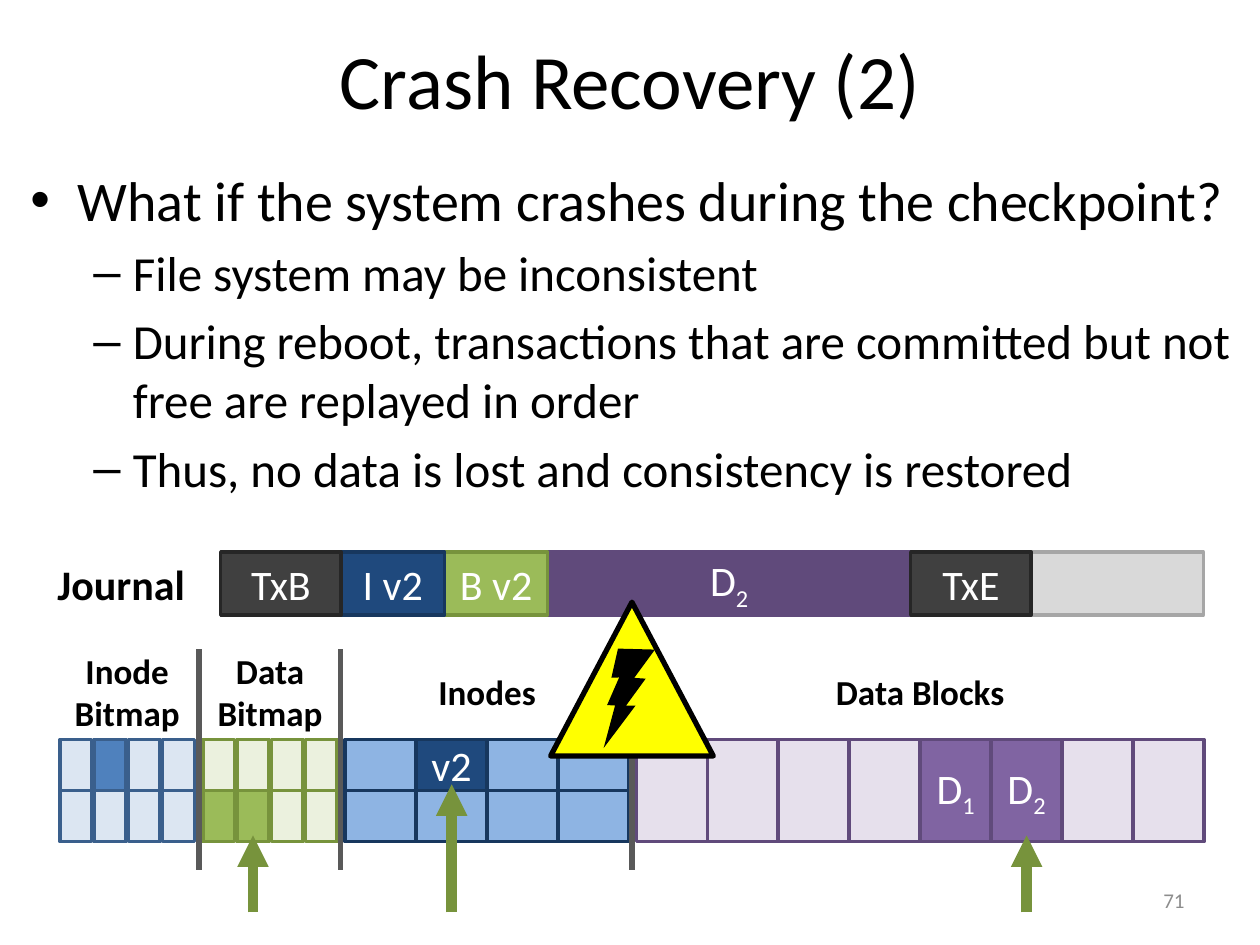
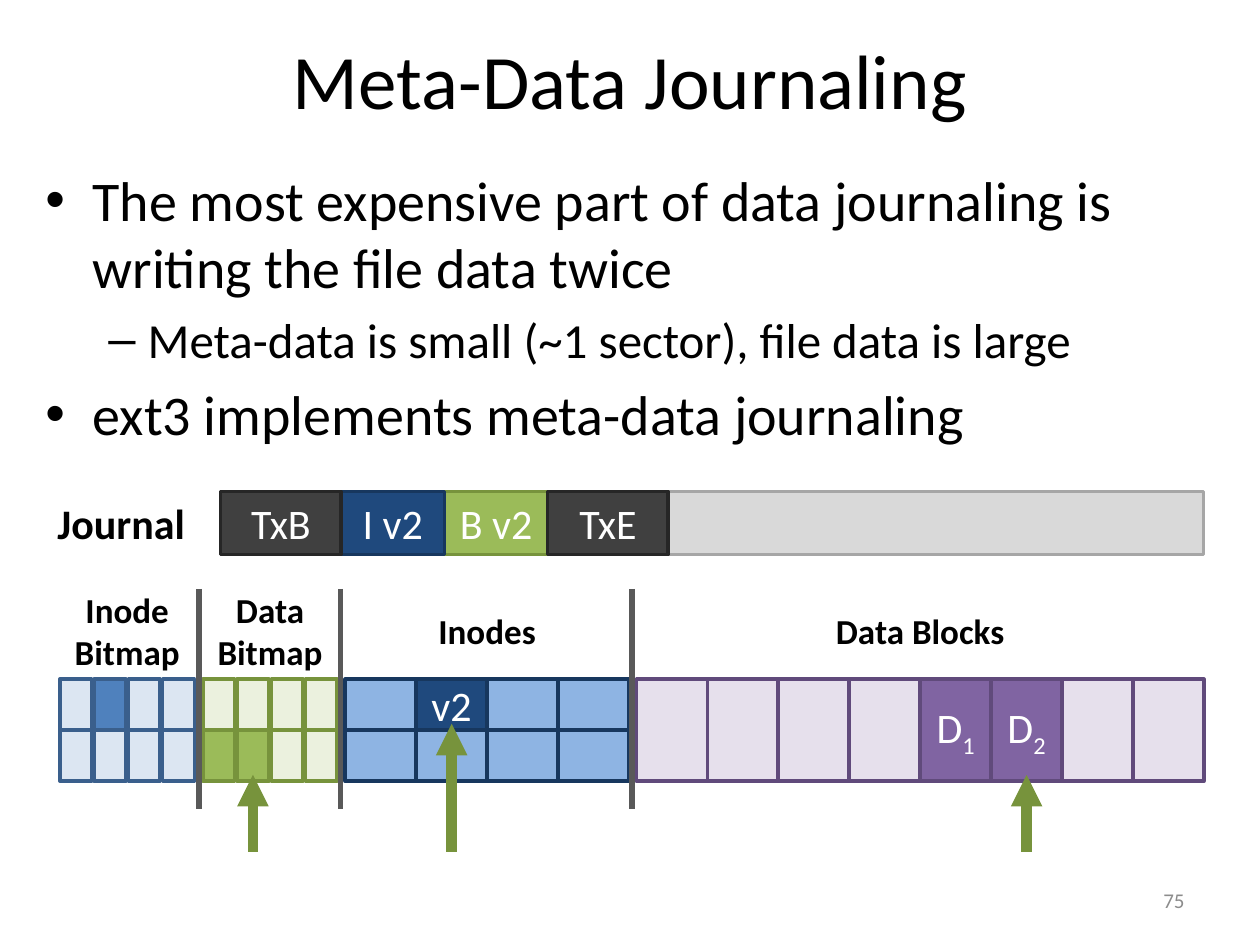
from pptx import Presentation
from pptx.dml.color import RGBColor
from pptx.enum.shapes import MSO_CONNECTOR, MSO_SHAPE
from pptx.enum.text import MSO_ANCHOR, MSO_AUTO_SIZE, PP_ALIGN
from pptx.oxml.ns import qn
from pptx.oxml.xmlchemy import OxmlElement
from pptx.util import Cm, Pt

FONT = "Calibri"
COLORS = {
    "black": "000000", "white": "FFFFFF", "number": "8C8C8C",
    "divider": "595959", "arrow": "77933C", "warning": "FFFF00",
}
# Fill and outline of each kind of block
STYLES = {
    "free": ("D9D9D9", "A6A6A6"),
    "transaction": ("404040", "262626"),
    "inode": ("1F497D", "17375E"),
    "bitmap": ("9BBB59", "77933C"),
    "data": ("604A7B", "604A7B"),
}

# Journal entries: text, style, width in cm; "_" starts a subscript
TX_BEGIN = ("TxB", "transaction", 2.43)
TX_END = ("TxE", "transaction", 2.43)
INODE_V2 = ("I v2", "inode", 2.08)
BITMAP_V2 = ("B v2", "bitmap", 2.08)
DATA_2 = ("D_2", "data", 7.32)

SLIDES = [
    {
        "title": "Crash Recovery (2)",
        "bullets": [
            (0, "What if the system crashes during the checkpoint?"),
            (1, "File system may be inconsistent"),
            (1, "During reboot, transactions that are committed but not free "
                "are replayed in order"),
            (1, "Thus, no data is lost and consistency is restored"),
        ],
        "body": (0.36, 3.2, 24.79, 14.38),
        "number": "71",
        "disk_top": 11.13,
        "journal": [TX_BEGIN, INODE_V2, BITMAP_V2, DATA_2, TX_END],
        "crash": True,
    },
    {
        "title": "Meta-Data Journaling",
        "bullets": [
            (0, "The most expensive part of data journaling is writing the "
                "file data twice"),
            (1, "Meta-data is small (~1 sector), file data is large"),
            (0, "ext3 implements meta-data journaling"),
        ],
        "body": (0.66, 3.2, 24.1, 6.3),
        "number": "75",
        "disk_top": 9.91,
        "journal": [TX_BEGIN, INODE_V2, BITMAP_V2, TX_END],
        "crash": False,
    },
]

# Disk regions; "used" maps (row, column) to the text in the cell,
# "updated" is the cell an arrow points to
REGIONS = [
    {"label": "Inode\nBitmap", "left": 1.21, "rows": 2, "columns": 4,
     "pitch": 0.69, "cell": 0.64, "fill": "DCE6F2", "used_fill": "4F81BD",
     "line": "3A5F8C", "used": {(0, 1): ""}, "updated": None},
    {"label": "Data\nBitmap", "left": 4.09, "rows": 2, "columns": 4,
     "pitch": 0.69, "cell": 0.64, "fill": "EBF1DE", "used_fill": "9BBB59",
     "line": "77933C", "used": {(1, 0): "", (1, 1): ""}, "updated": (1, 1)},
    {"label": "Inodes", "left": 6.96, "rows": 2, "columns": 4,
     "pitch": 1.43, "cell": 1.43, "fill": "8EB4E3", "used_fill": "1F497D",
     "line": "17375E", "used": {(0, 1): "v2"}, "updated": (0, 1)},
    {"label": "Data Blocks", "left": 12.83, "rows": 1, "columns": 8,
     "pitch": 1.43, "cell": 1.43, "fill": "E6E0EC", "used_fill": "8064A2",
     "line": "604A7B", "used": {(0, 4): "D_1", (0, 5): "D_2"},
     "updated": (0, 5)},
]
DIVIDERS = [4.01, 6.87, 12.74]

JOURNAL_LEFT, JOURNAL_WIDTH, JOURNAL_HEIGHT = 4.45, 19.81, 1.27
GRID_HEIGHT = 2.06
# Distances below the top of the journal
LABEL_TOP, LABEL_HEIGHT = 1.83, 1.96
GRID_TOP = 3.78
DIVIDER_TOP, DIVIDER_BOTTOM = 1.96, 6.4
ARROW_BOTTOM, ARROW_OVERLAP = 7.26, 0.13


def rgb(hex_color):
    return RGBColor.from_string(hex_color)


def write(para, text, size=24, color="white", bold=False,
          align=PP_ALIGN.CENTER):
    """Write text into para; what follows "_" becomes a subscript."""
    para.alignment = align
    for index, part in enumerate(text.split("_")):
        span = para.add_run()
        span.text = part
        span.font.name = FONT
        span.font.size = Pt(size)
        span.font.bold = bold
        span.font.color.rgb = rgb(COLORS[color])
        if index:
            span.font._element.set("baseline", "-25000")


def place(shape, left, top, width, height):
    shape.left, shape.top = Cm(left), Cm(top)
    shape.width, shape.height = Cm(width), Cm(height)


def add_label(page, area, text, anchor=MSO_ANCHOR.MIDDLE, **text_format):
    frame = page.shapes.add_textbox(*map(Cm, area)).text_frame
    frame.word_wrap = False
    frame.vertical_anchor = anchor
    for index, line in enumerate(text.split("\n")):
        para = frame.add_paragraph() if index else frame.paragraphs[0]
        write(para, line, **text_format)


def add_block(page, area, fill, line, text="", kind=MSO_SHAPE.RECTANGLE,
              weight=2):
    block = page.shapes.add_shape(kind, *map(Cm, area))
    block.shadow.inherit = False
    block.fill.solid()
    block.fill.fore_color.rgb = rgb(fill)
    if line:
        block.line.color.rgb = rgb(line)
        block.line.width = Pt(weight)
    else:
        block.line.fill.background()
    if text:
        frame = block.text_frame
        frame.margin_left = frame.margin_right = 0
        frame.vertical_anchor = MSO_ANCHOR.MIDDLE
        write(frame.paragraphs[0], text)
    return block


def add_line(page, x, start, end, color, weight, arrow=False):
    """Add a vertical line, with an arrowhead at its end if asked."""
    line = page.shapes.add_connector(
        MSO_CONNECTOR.STRAIGHT, Cm(x), Cm(start), Cm(x), Cm(end))
    line.line.color.rgb = rgb(COLORS[color])
    line.line.width = Pt(weight)
    properties = line._element.spPr
    if arrow:
        head = OxmlElement("a:tailEnd")
        head.set("type", "triangle")
        properties.find(qn("a:ln")).append(head)
    properties.append(OxmlElement("a:effectLst"))


def add_text_parts(page, content):
    title = page.shapes.title
    place(title, 1.27, 0, 22.86, 3.18)
    write(title.text_frame.paragraphs[0], content["title"], size=44,
          color="black")

    body = page.placeholders[1]
    place(body, *content["body"])
    frame = body.text_frame
    frame.auto_size = MSO_AUTO_SIZE.NONE
    for index, (level, text) in enumerate(content["bullets"]):
        para = frame.add_paragraph() if index else frame.paragraphs[0]
        para.level = level
        write(para, text, size=(32, 28)[level], color="black",
              align=PP_ALIGN.LEFT)

    add_label(page, (18.2, 17.65, 5.93, 1.01), content["number"], size=12,
              color="number", align=PP_ALIGN.RIGHT)


def add_journal(page, top, entries):
    add_block(page, (JOURNAL_LEFT, top, JOURNAL_WIDTH, JOURNAL_HEIGHT),
              *STYLES["free"])
    add_label(page, (0.91, top, 3.1, JOURNAL_HEIGHT), "Journal",
              anchor=MSO_ANCHOR.TOP, color="black", bold=True,
              align=PP_ALIGN.LEFT)
    left = JOURNAL_LEFT
    placed = []
    for text, style, width in entries:
        placed.append((text, style, (left, top, width, JOURNAL_HEIGHT)))
        left += width
    # Transaction marks go last, so that their outlines stay on top
    for text, style, area in sorted(
            reversed(placed), key=lambda entry: entry[1] == "transaction"):
        add_block(page, area, *STYLES[style], text)


def add_region(page, top, region):
    height = GRID_HEIGHT / region["rows"]
    for row in range(region["rows"]):
        for column in range(region["columns"]):
            used = (row, column) in region["used"]
            area = (region["left"] + column * region["pitch"],
                    top + GRID_TOP + row * height, region["cell"], height)
            add_block(page, area, region["used_fill" if used else "fill"],
                      region["line"], region["used"].get((row, column), ""))
    width = (region["columns"] - 1) * region["pitch"] + region["cell"]
    add_label(page, (region["left"], top + LABEL_TOP, width, LABEL_HEIGHT),
              region["label"], size=20, color="black", bold=True)


def add_update_arrow(page, top, region):
    row, column = region["updated"]
    x = region["left"] + column * region["pitch"] + region["cell"] / 2
    cell_bottom = top + GRID_TOP + (row + 1) * GRID_HEIGHT / region["rows"]
    add_line(page, x, top + ARROW_BOTTOM, cell_bottom - ARROW_OVERLAP,
             "arrow", 6, arrow=True)


def add_crash_sign(page):
    add_block(page, (11.1, 12.14, 3.28, 3.1), COLORS["warning"],
              COLORS["black"], kind=MSO_SHAPE.ISOSCELES_TRIANGLE, weight=3)
    bolt = add_block(page, (11.76, 13.08, 1.73, 1.73), COLORS["black"], None,
                     kind=MSO_SHAPE.LIGHTNING_BOLT)
    bolt.rotation = 336.9
    bolt._element.spPr.find(qn("a:xfrm")).set("flipH", "1")


def main():
    deck = Presentation()
    deck.slide_width, deck.slide_height = Cm(25.4), Cm(19.05)
    for content in SLIDES:
        page = deck.slides.add_slide(deck.slide_layouts[1])
        top = content["disk_top"]
        add_text_parts(page, content)
        add_journal(page, top, content["journal"])
        for region in REGIONS:
            add_region(page, top, region)
        for x in DIVIDERS:
            add_line(page, x, top + DIVIDER_TOP, top + DIVIDER_BOTTOM,
                     "divider", 3)
        for region in REGIONS:
            if region["updated"]:
                add_update_arrow(page, top, region)
        if content["crash"]:
            add_crash_sign(page)
    deck.save("out.pptx")


if __name__ == "__main__":
    main()
